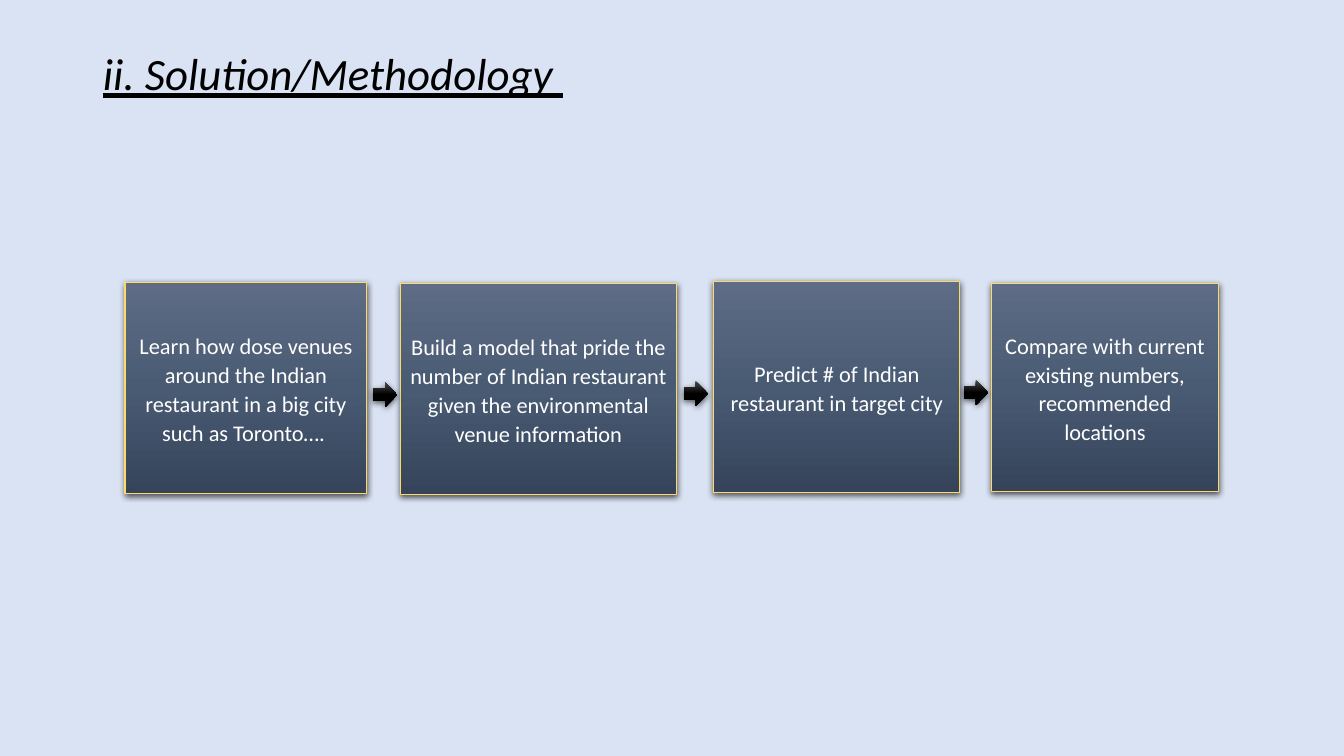
from copy import deepcopy

from lxml import etree
from pptx import Presentation
from pptx.dml.color import RGBColor
from pptx.enum.shapes import MSO_SHAPE
from pptx.enum.text import MSO_ANCHOR, PP_ALIGN
from pptx.oxml.ns import qn
from pptx.util import Inches, Pt

BOX = MSO_SHAPE.FLOWCHART_PROCESS
ARROW = MSO_SHAPE.RIGHT_ARROW
MIDDLE = MSO_ANCHOR.MIDDLE
LEFT, CENTER = PP_ALIGN.LEFT, PP_ALIGN.CENTER

FONT = "Calibri"
COLORS = {"back": "DAE3F3", "ink": "000000", "text": "FFFFFF", "edge": "FFD966"}
FADES = {
    BOX: ["5E6D85", "495A73", "35445A"],
    ARROW: ["4B4B4B", "000000", "000000"],
}


def add_text(para, text, size, color):
    run = para.add_run()
    run.text = text
    run.font.name = FONT
    run.font.size = Pt(size)
    run.font.color.rgb = RGBColor.from_string(COLORS[color])
    return run


def add_block(kind, left, top, width, height):
    """Add a shape with a three-stop downward gradient and a soft shadow."""
    shape = slide.shapes.add_shape(
        kind, Inches(left), Inches(top), Inches(width), Inches(height))
    props = shape._element.spPr

    shape.fill.gradient()
    shape.fill.gradient_angle = 270
    stops = props.find(qn("a:gradFill")).find(qn("a:gsLst"))
    stops.insert(1, deepcopy(stops[0]))
    for i, stop in enumerate(shape.fill.gradient_stops):
        stop.position = i / 2
        stop.color.rgb = RGBColor.from_string(FADES[kind][i])

    shape.shadow.inherit = False
    shade = etree.SubElement(
        props.find(qn("a:effectLst")), qn("a:outerShdw"),
        blurRad=str(Pt(4.5)), dist=str(Pt(1.5)), dir="5400000",
        algn="ctr", rotWithShape="0")
    tone = etree.SubElement(shade, qn("a:srgbClr"), val=COLORS["ink"])
    etree.SubElement(tone, qn("a:alpha"), val="63000")
    return shape


deck = Presentation()
deck.slide_width, deck.slide_height = Inches(13.33), Inches(7.5)
slide = deck.slides.add_slide(deck.slide_layouts[5])
slide.background.fill.solid()
slide.background.fill.fore_color.rgb = RGBColor.from_string(COLORS["back"])

# Title: the line break leaves an empty second line at the default size
title = slide.shapes.title
title.left, title.top = Inches(0.92), Inches(0.4)
title.width, title.height = Inches(11.5), Inches(1.45)
title.text_frame.vertical_anchor = MIDDLE
para = title.text_frame.paragraphs[0]
para.alignment = LEFT
para.line_spacing = 0.9
run = add_text(para, "ii. Solution/Methodology ", 32, "ink")
run.font.italic = True
run.font.underline = True
para.add_line_break()

# Steps of the method
steps = [
    (1.24, 2.8, 2.4, 2.1, "Learn how dose venues around the Indian restaurant "
                          "in a big city such as Toronto…. "),
    (3.97, 2.81, 2.74, 2.1, "Build a model that pride the number of Indian "
                            "restaurant given the environmental venue information"),
    (7.08, 2.79, 2.44, 2.1, "Predict # of Indian restaurant in target city"),
    (9.83, 2.81, 2.26, 2.07, "Compare with current existing numbers, "
                             "recommended locations"),
]
for left, top, width, height, text in steps:
    box = add_block(BOX, left, top, width, height)
    box.line.color.rgb = RGBColor.from_string(COLORS["edge"])
    box.line.width = Pt(0.75)
    frame = box.text_frame
    frame.word_wrap = True
    frame.vertical_anchor = MIDDLE
    para = frame.paragraphs[0]
    para.alignment = CENTER
    para.line_spacing = 1.07
    para.space_after = Pt(8)
    add_text(para, text, 16, "text")

# Arrows between the steps
for left, top in [(3.7, 3.79), (6.78, 3.78), (9.56, 3.77)]:
    arrow = add_block(ARROW, left, top, 0.24, 0.25)
    arrow.line.fill.background()

deck.save("out.pptx")
